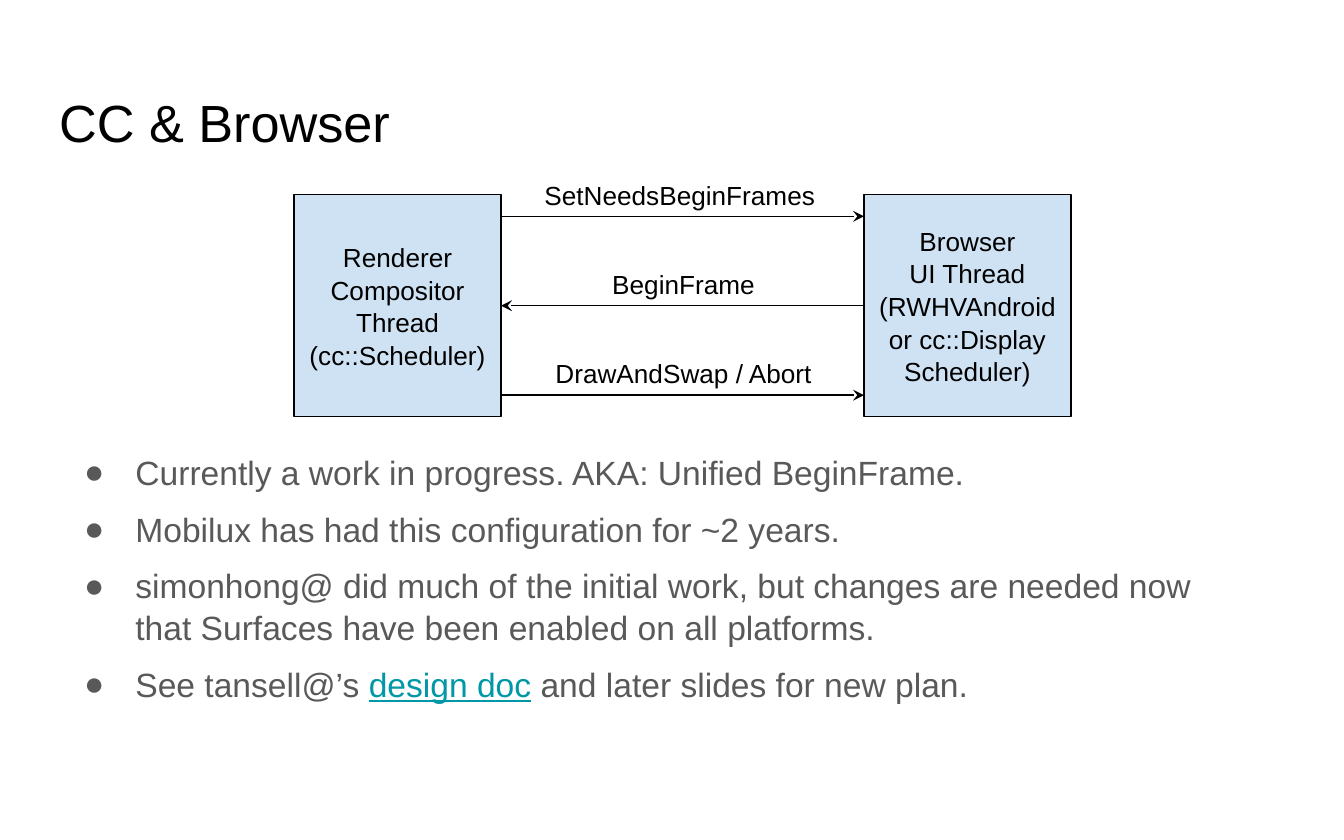
from dataclasses import dataclass

from lxml import etree
from pptx import Presentation
from pptx.dml.color import RGBColor
from pptx.enum.shapes import MSO_CONNECTOR as Connector, MSO_SHAPE as Shape
from pptx.enum.text import MSO_ANCHOR as Anchor, PP_ALIGN as Align
from pptx.oxml.ns import qn
from pptx.util import Cm, Pt


@dataclass(frozen=True)
class Theme:
    font: str = "Arial"
    ink: str = "000000"
    body: str = "595959"
    link: str = "0097A7"
    box: str = "CFE2F3"
    title_size: int = 28
    body_size: int = 18
    label_size: int = 14
    line_width: float = 0.75
    line_spacing: float = 1.04
    inset: float = 0.25


class SlideBuilder:
    def __init__(self, slide, theme):
        self.shapes = slide.shapes
        self.theme = theme

    def colour(self, value):
        return RGBColor.from_string(value)

    def frame(self, shape, anchor):
        frame = shape.text_frame
        frame.word_wrap = True
        frame.vertical_anchor = anchor
        inset = Cm(self.theme.inset)
        frame.margin_left = frame.margin_right = inset
        frame.margin_top = frame.margin_bottom = inset
        return frame

    def style(self, para, size, colour, align=Align.LEFT):
        para.alignment = align
        para.line_spacing = self.theme.line_spacing
        para.font.name = self.theme.font
        para.font.size = Pt(size)
        para.font.color.rgb = self.colour(colour)

    def fill_lines(self, frame, lines, size, align):
        for index, line in enumerate(lines):
            para = frame.add_paragraph() if index else frame.paragraphs[0]
            para.text = line
            self.style(para, size, self.theme.ink, align)

    def text(self, area, line, size, align=Align.LEFT, anchor=Anchor.TOP):
        box = self.shapes.add_textbox(*map(Cm, area))
        self.fill_lines(self.frame(box, anchor), [line], size, align)

    def box(self, area, lines):
        box = self.shapes.add_shape(Shape.RECTANGLE, *map(Cm, area))
        box.shadow.inherit = False
        box.fill.solid()
        box.fill.fore_color.rgb = self.colour(self.theme.box)
        box.line.color.rgb = self.colour(self.theme.ink)
        box.line.width = Pt(self.theme.line_width)
        frame = self.frame(box, Anchor.MIDDLE)
        self.fill_lines(frame, lines, self.theme.label_size, Align.CENTER)

    def arrow(self, start, end, y):
        arrow = self.shapes.add_connector(
            Connector.STRAIGHT, Cm(start), Cm(y), Cm(end), Cm(y))
        arrow.line.color.rgb = self.colour(self.theme.ink)
        arrow.line.width = Pt(self.theme.line_width)
        etree.SubElement(arrow.line._get_or_add_ln(), qn("a:tailEnd"), type="stealth")
        etree.SubElement(arrow._element.spPr, qn("a:effectLst"))

    def bullets(self, area, items, gap=8, indent=1.27, hanging=0.97):
        frame = self.frame(self.shapes.add_textbox(*map(Cm, area)), Anchor.TOP)
        for index, spans in enumerate(items):
            para = frame.add_paragraph() if index else frame.paragraphs[0]
            para.space_before = Pt(gap if index else 0)
            props = para._p.get_or_add_pPr()
            props.set("marL", str(Cm(indent)))
            props.set("indent", str(-Cm(hanging)))
            bullet_colour = etree.SubElement(props, qn("a:buClr"))
            etree.SubElement(bullet_colour, qn("a:srgbClr"), val=self.theme.body)
            etree.SubElement(props, qn("a:buFont"), typeface=self.theme.font)
            etree.SubElement(props, qn("a:buChar"), char="●")
            self.style(para, self.theme.body_size, self.theme.body)
            for words, linked in spans:
                span = para.add_run()
                span.text = words
                if linked:
                    span.font.underline = True
                    span.font.color.rgb = self.colour(self.theme.link)


BOX_TOP, BOX_WIDTH, BOX_HEIGHT = 3.68, 3.91, 4.19
RENDERER_LEFT, BROWSER_LEFT = 5.56, 16.33
RENDERER_RIGHT = RENDERER_LEFT + BOX_WIDTH
FIRST_ARROW, ARROW_STEP = 4.09, 1.69
LABEL_RISE, LABEL_HEIGHT = 0.98, 1.04

THREADS = [
    (RENDERER_LEFT, ["Renderer", "Compositor Thread (cc::Scheduler)"]),
    (BROWSER_LEFT, ["Browser\vUI Thread (RWHVAndroid or cc::Display Scheduler)"]),
]
MESSAGES = [
    ("SetNeedsBeginFrames", 8.81, 8.08, True),
    ("BeginFrame", 9.91, 6.02, False),
    ("DrawAndSwap / Abort", 9.91, 6.02, True),
]
NOTES = [
    [("Currently a work in progress. AKA: Unified BeginFrame.", False)],
    [("Mobilux has had this configuration for ~2 years.", False)],
    [("simonhong@ did much of the initial work, but changes are needed now "
      "that Surfaces have been enabled on all platforms.", False)],
    [("See tansell@’s ", False), ("design doc", True),
     (" and later slides for new plan.", False)],
]


def main():
    deck = Presentation()
    deck.slide_width, deck.slide_height = Cm(25.4), Cm(15.88)
    theme = Theme()
    page = SlideBuilder(deck.slides.add_slide(deck.slide_layouts[6]), theme)

    page.text((0.87, 1.38, 23.67, 1.78), "CC & Browser", theme.title_size,
              anchor=Anchor.MIDDLE)
    page.bullets((1.04, 8.26, 22.86, 6.81), NOTES)
    for left, lines in THREADS:
        page.box((left, BOX_TOP, BOX_WIDTH, BOX_HEIGHT), lines)
    for index, (label, left, width, to_browser) in enumerate(MESSAGES):
        y = FIRST_ARROW + index * ARROW_STEP
        ends = (RENDERER_RIGHT, BROWSER_LEFT)
        start, end = ends if to_browser else ends[::-1]
        page.arrow(start, end, y)
        page.text((left, y - LABEL_RISE, width, LABEL_HEIGHT), label,
                  theme.label_size, Align.CENTER)

    deck.save("out.pptx")


if __name__ == "__main__":
    main()
